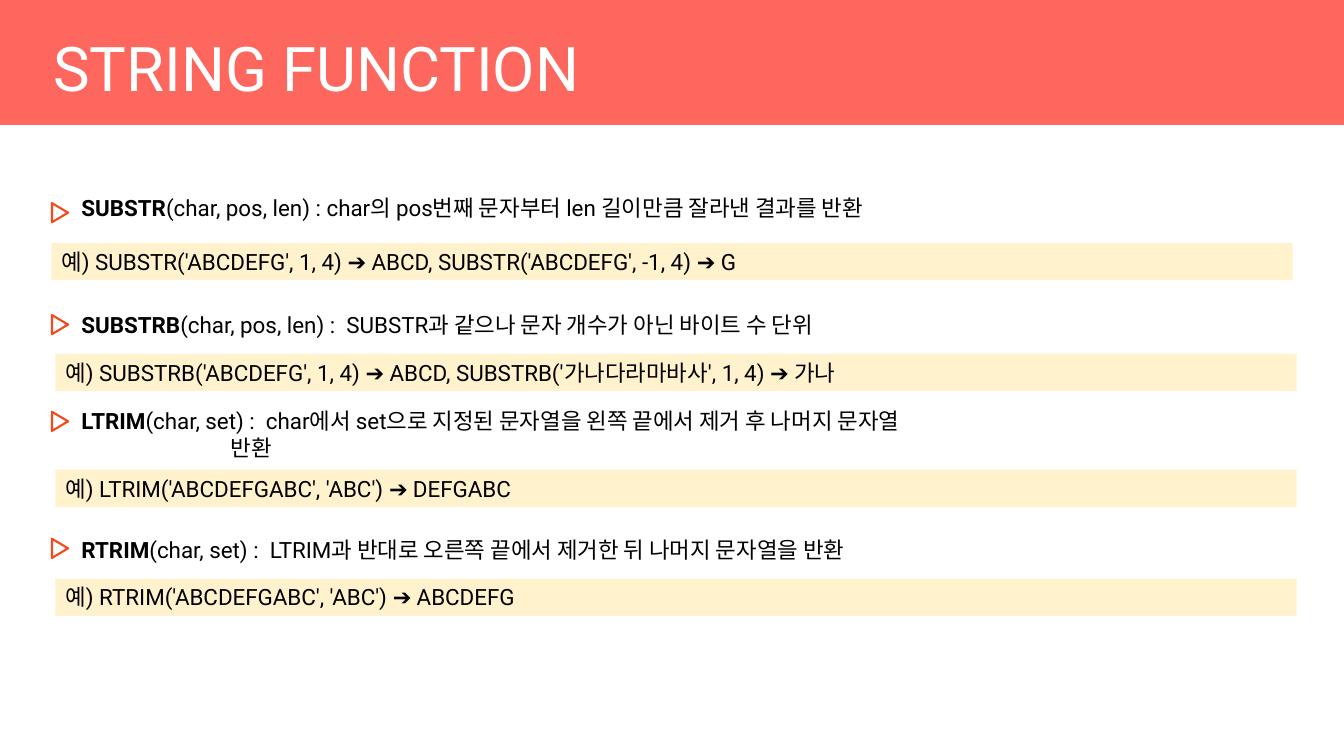
import pptx
import pptx.util
import pptx.dml.color
import pptx.enum.shapes
import pptx.enum.text

Inches = pptx.util.Inches
SHAPES = pptx.enum.shapes.MSO_SHAPE
ANCHORS = pptx.enum.text.MSO_ANCHOR

COLORS = {
    "banner": "FD675D",
    "title": "FFFFFF",
    "text": "000000",
    "marker_fill": "FFFFFF",
    "marker_line": "F84818",
    "example": "FFF2CC",
}
TITLE_FORMAT = {"name": "Roboto", "size": pptx.util.Pt(44)}
BODY_FORMAT = {"name": "Roboto", "size": pptx.util.Pt(16)}
ROW_HEIGHT = 0.37
EXAMPLE_WIDTH = 12.31
CONTINUATION_INDENT = 1.48

# Heading top, marker top, example left and top, then the wording
FUNCTIONS = [
    (1.88, 2.03, 0.51, 2.41, "SUBSTR",
     ["(char, pos, len) : char의 pos번째 문자부터 len 길이만큼 잘라낸 결과를 반환"],
     "예) SUBSTR('ABCDEFG', 1, 4) ➔ ABCD, SUBSTR('ABCDEFG', -1, 4) ➔ G"),
    (3.04, 3.14, 0.55, 3.51, "SUBSTRB",
     ["(char, pos, len) :  SUBSTR과 같으나 문자 개수가 아닌 바이트 수 단위"],
     "예) SUBSTRB('ABCDEFG', 1, 4) ➔ ABCD, SUBSTRB('가나다라마바사', 1, 4) ➔ 가나"),
    (3.99, 4.10, 0.55, 4.66, "LTRIM",
     ["(char, set) :  char에서 set으로 지정된 문자열을 왼쪽 끝에서 제거 후 나머지 문자열",
      "반환"],
     "예) LTRIM('ABCDEFGABC', 'ABC') ➔ DEFGABC"),
    (5.27, 5.36, 0.55, 5.74, "RTRIM",
     ["(char, set) :  LTRIM과 반대로 오른쪽 끝에서 제거한 뒤 나머지 문자열을 반환"],
     "예) RTRIM('ABCDEFGABC', 'ABC') ➔ ABCDEFG"),
]


def rgb(color):
    return pptx.dml.color.RGBColor.from_string(COLORS[color])


def add_run(paragraph, text, color, font_format, bold=False):
    run = paragraph.add_run()
    run.text = text
    for name, value in {**font_format, "bold": bold}.items():
        setattr(run.font, name, value)
    run.font.color.rgb = rgb(color)


def add_filled_shape(slide, kind, box, fill):
    shape = slide.shapes.add_shape(kind, *map(Inches, box))
    shape.shadow.inherit = False
    shape.fill.solid()
    shape.fill.fore_color.rgb = rgb(fill)
    shape.line.fill.background()
    return shape


def add_text_frame(slide, box, anchor=ANCHORS.TOP):
    frame = slide.shapes.add_textbox(*map(Inches, box)).text_frame
    frame.word_wrap = True
    frame.vertical_anchor = anchor
    return frame


def add_banner(slide, box):
    left, top, width, height = box
    add_filled_shape(slide, SHAPES.RECTANGLE, box, "banner")
    frame = add_text_frame(slide, (left + 0.43, top + 0.3, 11.5, 0.78), ANCHORS.BOTTOM)
    add_run(frame.paragraphs[0], "STRING FUNCTION", "title", TITLE_FORMAT)


def add_marker(slide, box):
    marker = add_filled_shape(slide, SHAPES.FLOWCHART_EXTRACT, box, "marker_fill")
    marker.rotation = 90
    marker.line.color.rgb = rgb("marker_line")
    marker.line.width = pptx.util.Pt(1.5)


def add_heading(slide, box, name, lines):
    frame = add_text_frame(slide, box)
    add_run(frame.paragraphs[0], name, "text", BODY_FORMAT, bold=True)
    add_run(frame.paragraphs[0], lines[0], "text", BODY_FORMAT)
    for line in lines[1:]:
        paragraph = frame.add_paragraph()
        properties = paragraph._p.get_or_add_pPr()
        properties.set("marL", str(Inches(CONTINUATION_INDENT)))
        add_run(paragraph, line, "text", BODY_FORMAT)


def add_example(slide, box, text):
    bar = add_filled_shape(slide, SHAPES.RECTANGLE, box, "example")
    bar.text_frame.word_wrap = True
    bar.text_frame.vertical_anchor = ANCHORS.TOP
    paragraph = bar.text_frame.paragraphs[0]
    paragraph.alignment = pptx.enum.text.PP_ALIGN.LEFT
    add_run(paragraph, text, "text", BODY_FORMAT)


def main():
    presentation = pptx.Presentation()
    presentation.slide_width = Inches(13.33)
    presentation.slide_height = Inches(7.5)
    slide = presentation.slides.add_slide(presentation.slide_layouts[6])

    # Title banner
    add_banner(slide, (0, 0, 13.33, 1.24))

    # Each function: marker, description and example bar
    for heading_top, marker_top, bar_left, bar_top, name, lines, example in FUNCTIONS:
        add_heading(slide, (0.71, heading_top, 9.25, ROW_HEIGHT * len(lines)), name, lines)
        add_marker(slide, (0.5, marker_top, 0.19, 0.16))
        add_example(slide, (bar_left, bar_top, EXAMPLE_WIDTH, ROW_HEIGHT), example)

    presentation.save("out.pptx")


if __name__ == "__main__":
    main()
